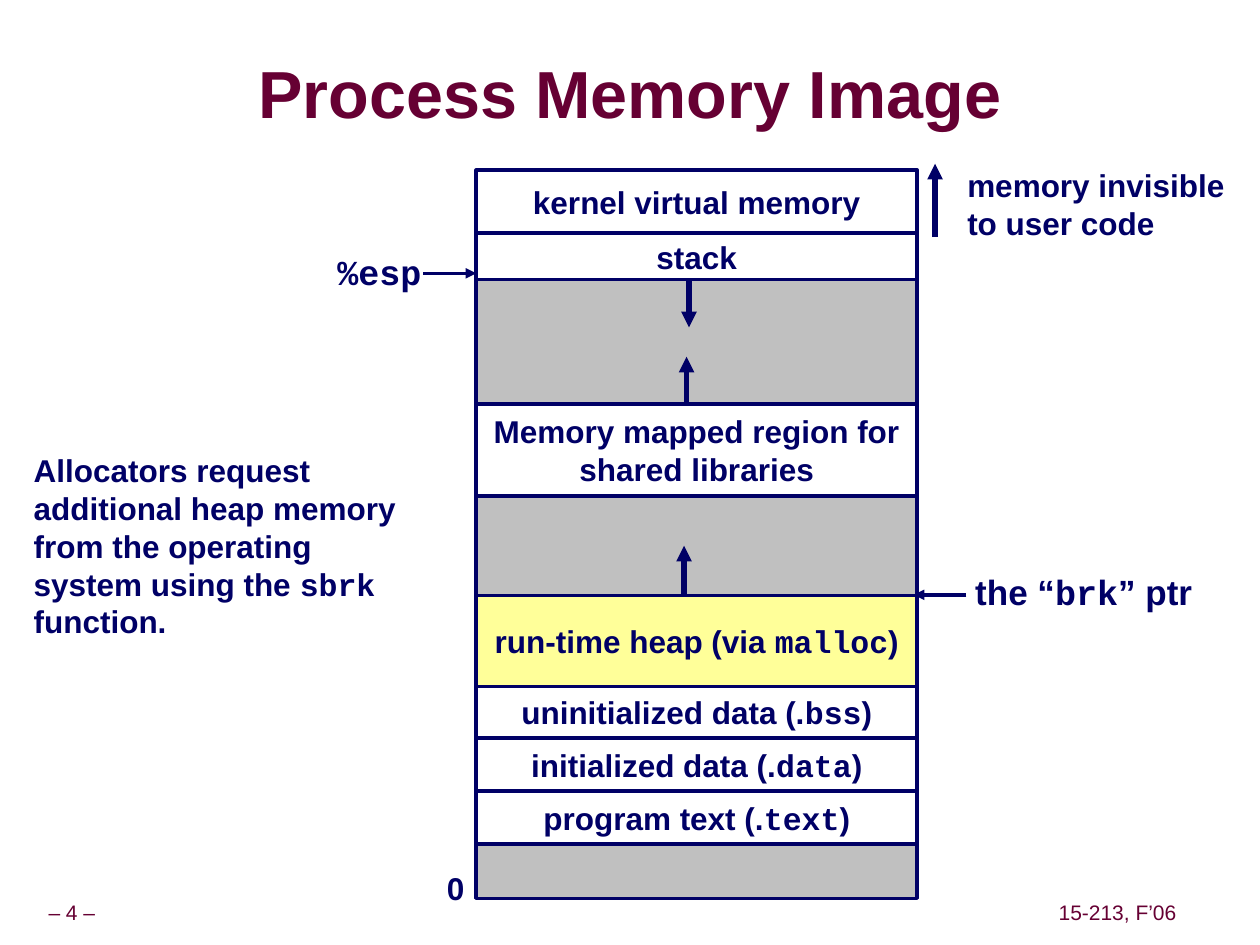
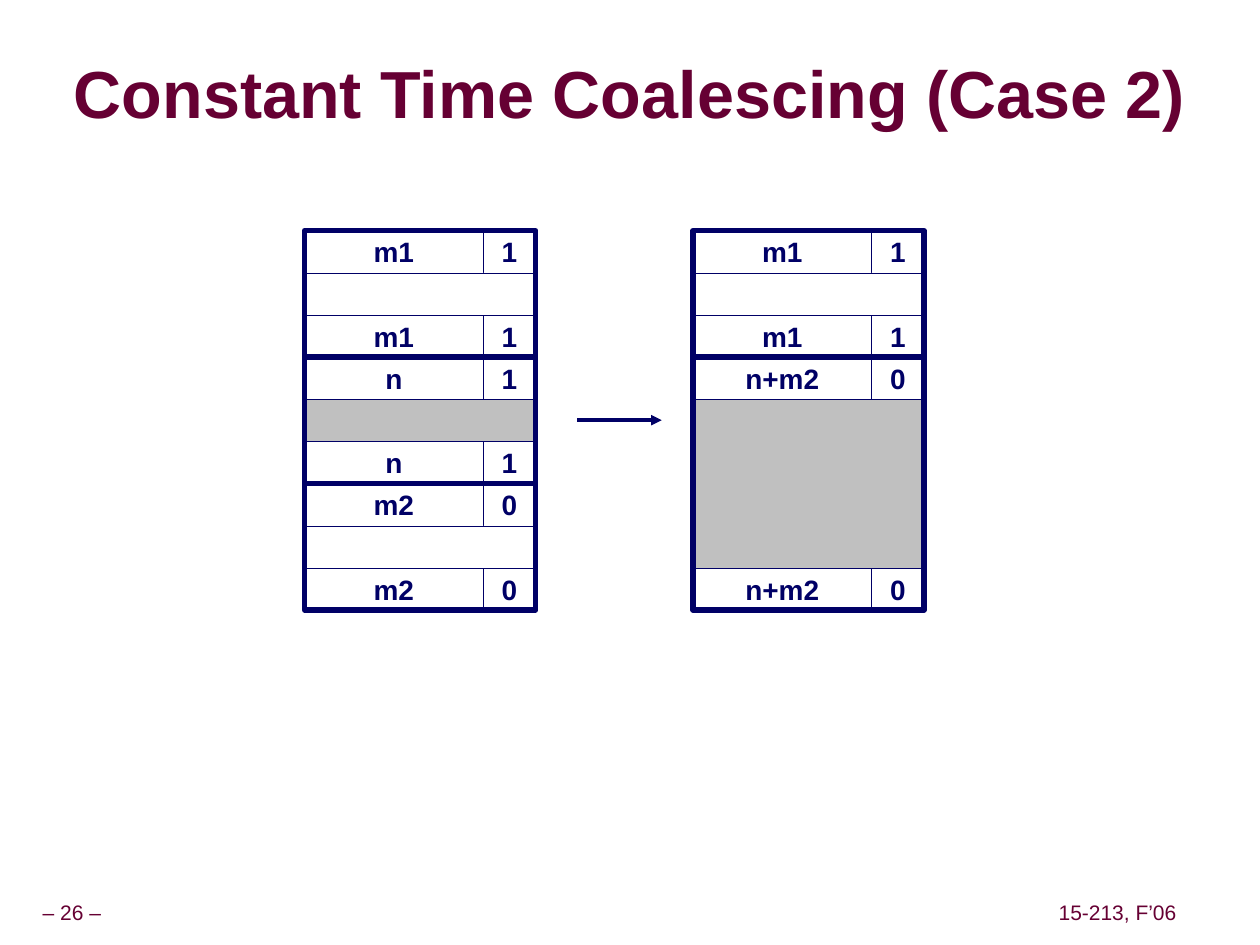
"""Build two lecture slides on process memory and constant time coalescing."""
from lxml.etree import SubElement
from pptx import Presentation
from pptx.dml.color import RGBColor
from pptx.enum.shapes import MSO_CONNECTOR, MSO_SHAPE
from pptx.enum.text import MSO_ANCHOR, MSO_AUTO_SIZE, PP_ALIGN
from pptx.oxml.ns import qn
from pptx.util import Cm, Pt

COLORS = {
    "ink": "000066",
    "maroon": "660033",
    "white": "FFFFFF",
    "gray": "C0C0C0",
    "yellow": "FFFF99",
    "shadow": "969696",
}
BODY_FONT, CODE_FONT = "Arial", "Courier New"
TITLE_ONLY = 5
COURSE = "15-213, F’06"

TITLE_FRAME = {
    "margin_left": 0, "margin_right": 0, "margin_top": 0, "margin_bottom": 0,
    "vertical_anchor": MSO_ANCHOR.MIDDLE, "word_wrap": True,
    "auto_size": MSO_AUTO_SIZE.NONE,
}
BOX_FRAME = {"vertical_anchor": MSO_ANCHOR.MIDDLE, "word_wrap": False}
LABEL_FRAME = {"vertical_anchor": MSO_ANCHOR.TOP, "word_wrap": False}
NOTE_FRAME = {**LABEL_FRAME, "word_wrap": True}
FOOTER_FRAME = {
    "margin_left": Cm(0.13), "margin_right": Cm(0.13), **BOX_FRAME,
}
CENTERED = {"alignment": PP_ALIGN.CENTER}
LEFT = {"alignment": PP_ALIGN.LEFT}
TITLE_PARAGRAPH = {**CENTERED, "line_spacing": 0.87}
FOOTER_PARAGRAPH = {**CENTERED, "line_spacing": 0.9}

MEMORY_LEFT, MEMORY_TOP, MEMORY_WIDTH = 9.6, 3.43, 8.89
MEMORY_REGIONS = [
    ("kernel virtual memory", 1.27, "white"),
    ("stack", 0.94, "white"),
    ("", 2.51, "gray"),
    ("Memory mapped region for\nshared libraries", 1.85, "white"),
    ("", 2.01, "gray"),
    ("run-time heap (via `malloc`)", 1.83, "yellow"),
    ("uninitialized data (.`bss`)", 1.04, "white"),
    ("initialized data (.`data`)", 1.07, "white"),
    ("program text (.`text`)", 1.07, "white"),
    ("", 1.09, "gray"),
]

GRID_TOP, ROW_HEIGHT, SIZE_WIDTH, FLAG_WIDTH = 4.65, 0.85, 3.6, 1.06
BLOCK_WIDTH = SIZE_WIDTH + FLAG_WIDTH
BEFORE_LEFT, AFTER_LEFT = 6.14, 13.97
BEFORE_BLOCKS = [("m1", "1", 1, "white"), ("n", "1", 1, "gray"),
                 ("m2", "0", 1, "white")]
AFTER_BLOCKS = [("m1", "1", 1, "white"), ("n+m2", "0", 4, "gray")]


def color(name):
    """Return a named colour as an RGB value."""
    return RGBColor.from_string(COLORS[name])


def set_all(target, values):
    """Set every attribute in a dict of format values."""
    for name, value in values.items():
        setattr(target, name, value)


def write(shape, text, size, frame, paragraph_format, ink="ink", bold=True):
    """Write lines of text, with code between backticks."""
    text_frame = shape.text_frame
    set_all(text_frame, frame)
    for index, line in enumerate(text.split("\n")):
        paragraph = (text_frame.add_paragraph() if index
                     else text_frame.paragraphs[0])
        set_all(paragraph, paragraph_format)
        for part, words in enumerate(line.split("`")):
            if words:
                run = paragraph.add_run()
                run.text = words
                set_all(run.font, {
                    "size": Pt(size), "bold": bold,
                    "name": CODE_FONT if part % 2 else BODY_FONT,
                })
                run.font.color.rgb = color(ink)


def add_text_shadow(run):
    """Give a run a soft gray drop shadow."""
    effects = run.font._element.makeelement(qn("a:effectLst"))
    shadow = SubElement(effects, qn("a:outerShdw"), dist="38100", dir="2700000")
    SubElement(shadow, qn("a:srgbClr"), val=COLORS["shadow"])
    run.font._element.find(qn("a:solidFill")).addnext(effects)


def add_label(slide, text, left, top, width, height, size=18,
              frame=LABEL_FRAME, paragraph_format=LEFT, **style):
    """Add a text box."""
    box = slide.shapes.add_textbox(Cm(left), Cm(top), Cm(width), Cm(height))
    write(box, text, size, frame, paragraph_format, **style)


def add_box(slide, left, top, width, height, fill, line, text="", size=18):
    """Add an outlined rectangle, unfilled when fill is None."""
    box = slide.shapes.add_shape(
        MSO_SHAPE.RECTANGLE, Cm(left), Cm(top), Cm(width), Cm(height))
    box.shadow.inherit = False
    if fill:
        box.fill.solid()
        box.fill.fore_color.rgb = color(fill)
    else:
        box.fill.background()
    box.line.color.rgb = color("ink")
    box.line.width = Pt(line)
    if text:
        write(box, text, size, BOX_FRAME, CENTERED)


def add_arrow(slide, start, end, width):
    """Add a straight line with a triangle at its end."""
    arrow = slide.shapes.add_connector(
        MSO_CONNECTOR.STRAIGHT, *(Cm(value) for value in start + end))
    arrow.line.color.rgb = color("ink")
    arrow.line.width = Pt(width)
    properties = arrow.element.spPr
    SubElement(properties.find(qn("a:ln")), qn("a:tailEnd"), type="triangle")
    SubElement(properties, qn("a:effectLst"))


def add_slide(presentation, title, number):
    """Add a slide with its shadowed title and footers."""
    slide = presentation.slides.add_slide(
        presentation.slide_layouts[TITLE_ONLY])
    shape = slide.shapes.title
    set_all(shape, {"left": Cm(1.17), "top": Cm(1.17),
                    "width": Cm(23.06), "height": Cm(1.6)})
    write(shape, title, 38, TITLE_FRAME, TITLE_PARAGRAPH, ink="maroon")
    add_text_shadow(shape.text_frame.paragraphs[0].runs[0])
    for text, left, width in ((f"– {number} –", 0, 2.9), (COURSE, 21.21, 2.64)):
        add_label(slide, text, left, 18.07, width, 0.71, 12, FOOTER_FRAME,
                  FOOTER_PARAGRAPH, ink="maroon", bold=False)
    return slide


def add_memory_map(slide):
    """Stack the memory regions from high to low addresses."""
    top = MEMORY_TOP
    for text, height, fill in MEMORY_REGIONS:
        add_box(slide, MEMORY_LEFT, top, MEMORY_WIDTH, height, fill, 2, text)
        top += height


def add_heap_blocks(slide, left, blocks):
    """Stack heap blocks, each a header, a payload and a footer."""
    top = GRID_TOP
    for size, flag, payload_rows, fill in blocks:
        payload = payload_rows * ROW_HEIGHT
        for row_top in (top, top + ROW_HEIGHT + payload):
            add_box(slide, left, row_top, SIZE_WIDTH, ROW_HEIGHT,
                    "white", 0.25, size, 16)
            add_box(slide, left + SIZE_WIDTH, row_top, FLAG_WIDTH, ROW_HEIGHT,
                    "white", 0.25, flag, 16)
        add_box(slide, left, top + ROW_HEIGHT, BLOCK_WIDTH, payload, fill, 0.25)
        height = payload + 2 * ROW_HEIGHT
        add_box(slide, left, top, BLOCK_WIDTH, height, None, 3)
        top += height


def build_memory_slide(presentation):
    """Show the regions of a process and the pointers into them."""
    slide = add_slide(presentation, "Process Memory Image", 4)
    add_memory_map(slide)
    for x, start, end in ((13.79, 11.99, 11), (13.84, 8.15, 7.19),
                          (13.89, 5.64, 6.6), (18.85, 4.78, 3.3)):
        add_arrow(slide, (x, start), (x, end), 3)
    add_arrow(slide, (8.53, 5.51), (9.6, 5.51), 2)
    add_arrow(slide, (19.48, 11.99), (18.42, 11.99), 2)
    add_label(slide, "0", 8.76, 17.4, 0.86, 1.02)
    add_label(slide, "`%esp`", 6.55, 4.93, 2.21, 1.12, 20)
    add_label(slide, "memory invisible\nto user code", 19.25, 3.23, 5.69, 1.78)
    add_label(slide, "the “`brk`” ptr", 19.41, 11.38, 4.88, 1.12, 20)
    add_label(slide, "Allocators request\nadditional heap memory\n"
              "from the operating system using the `sbrk` function.",
              0.43, 8.97, 8.26, 4.06, frame=NOTE_FRAME)


def build_coalescing_slide(presentation):
    """Show the heap before and after a block joins its free successor."""
    slide = add_slide(presentation, "Constant Time Coalescing (Case 2)", 26)
    add_heap_blocks(slide, BEFORE_LEFT, BEFORE_BLOCKS)
    add_heap_blocks(slide, AFTER_LEFT, AFTER_BLOCKS)
    add_arrow(slide, (11.64, 8.47), (13.34, 8.47), 2)


def main():
    """Build and save the presentation."""
    presentation = Presentation()
    set_all(presentation, {"slide_width": Cm(25.4), "slide_height": Cm(19.05)})
    build_memory_slide(presentation)
    build_coalescing_slide(presentation)
    presentation.save("out.pptx")


if __name__ == "__main__":
    main()
